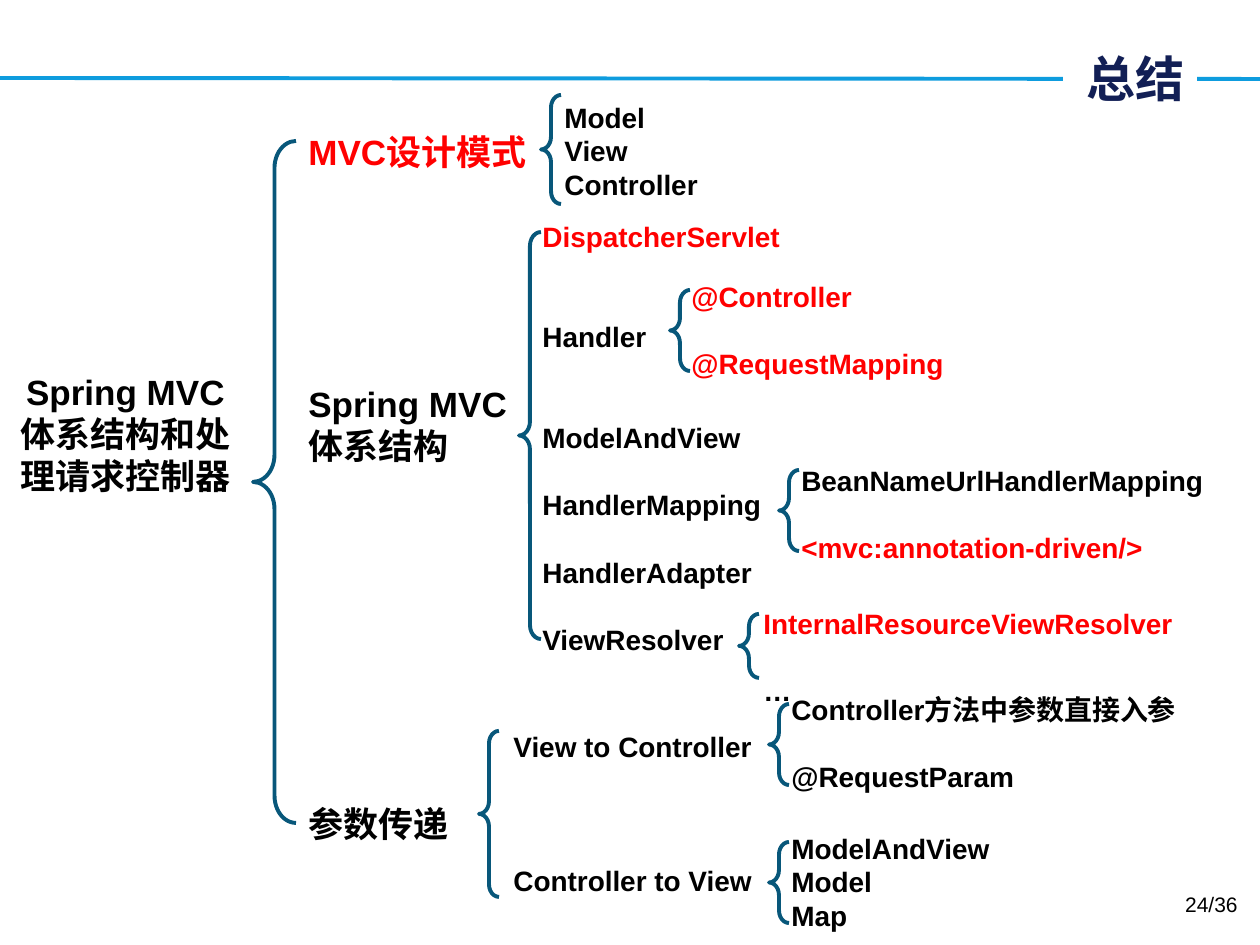
from lxml.etree import SubElement
from pptx import Presentation
from pptx.dml.color import RGBColor
from pptx.enum.shapes import MSO_CONNECTOR, MSO_SHAPE
from pptx.enum.text import MSO_ANCHOR, PP_ALIGN
from pptx.oxml.ns import qn
from pptx.util import Pt

PX = 914400 / 126
LATIN, CJK = "Arial", "Noto Sans CJK SC"
LEADING = 1.2

BLACK = RGBColor(0x00, 0x00, 0x00)
RED = RGBColor(0xFF, 0x00, 0x00)
WHITE = RGBColor(0xFF, 0xFF, 0xFF)
NAVY = RGBColor(0x12, 0x1F, 0x55)
RULE_BLUE = RGBColor(0x0E, 0x9C, 0xDE)
BRACE_BLUE = RGBColor(0x08, 0x57, 0x7A)


def emu(*lengths):
    return [round(length * PX) for length in lengths]


def write(para, text, size=16, color=BLACK, bold=True, font=LATIN,
          align=PP_ALIGN.LEFT, lines_before=0):
    """Fill one paragraph; lines_before is a gap counted in text lines."""
    para.alignment = align
    para.line_spacing = Pt(size * LEADING)
    para.space_before = Pt(size * LEADING * lines_before)
    span = para.add_run()
    span.text = text
    span.font.size = Pt(size)
    span.font.bold = bold
    span.font.color.rgb = color
    span.font.name = font
    SubElement(span.font._element, qn("a:ea"), typeface=CJK)


class SlideWriter:
    def __init__(self, slide):
        self.slide = slide

    def rule(self, x1, y1, x2, y2):
        line = self.slide.shapes.add_connector(
            MSO_CONNECTOR.STRAIGHT, *emu(x1, y1, x2, y2))
        line.line.color.rgb = RULE_BLUE
        line.line.width = Pt(2.25)
        SubElement(line._element.spPr, qn("a:effectLst"))

    def brace(self, left, top, width, height):
        shape = self.slide.shapes.add_shape(
            MSO_SHAPE.LEFT_BRACE, *emu(left, top, width, height))
        shape.adjustments[0] = 0.63
        shape.shadow.inherit = False
        shape.fill.background()
        shape.line.color.rgb = BRACE_BLUE
        shape.line.width = Pt(2.25)

    def text(self, left, top, width, height, rows, fill=None,
             anchor=MSO_ANCHOR.TOP, **style):
        """Each row is (text, colour, blank lines before it)."""
        box = self.slide.shapes.add_textbox(*emu(left, top, width, height))
        if fill is not None:
            box.fill.solid()
            box.fill.fore_color.rgb = fill
        frame = box.text_frame
        frame.word_wrap = True
        frame.vertical_anchor = anchor
        for index, (text, color, gap) in enumerate(rows):
            para = frame.add_paragraph() if index else frame.paragraphs[0]
            write(para, text, color=color, lines_before=gap, **style)


def main():
    deck = Presentation()
    deck.slide_width, deck.slide_height = emu(1260, 945)
    page = SlideWriter(deck.slides.add_slide(deck.slide_layouts[6]))

    # Header
    page.rule(0, 78, 1260, 79)
    page.text(1063, 38, 134, 80, [("总结", NAVY, 0)], fill=WHITE, size=28,
              font=CJK, align=PP_ALIGN.RIGHT, anchor=MSO_ANCHOR.MIDDLE)

    # Root topic and its three branches
    page.text(0, 364, 251, 139, [("Spring MVC体系结构和处理请求控制器", BLACK, 0)],
              size=20, align=PP_ALIGN.CENTER)
    page.brace(253, 141, 43, 682)
    page.text(296, 124, 493, 727, [
        ("MVC设计模式", RED, 0),
        ("Spring MVC", BLACK, 5),
        ("体系结构", BLACK, 0),
        ("参数传递", BLACK, 8),
    ], size=20)

    # Design pattern
    page.brace(541, 95, 20, 109)
    page.text(552, 94, 396, 147, [
        ("Model", BLACK, 0), ("View", BLACK, 0), ("Controller", BLACK, 0)])

    # Architecture
    page.brace(519, 232, 22, 407)
    page.text(530, 213, 396, 517, [
        ("DispatcherServlet", RED, 0),
        ("Handler", BLACK, 2),
        ("ModelAndView", BLACK, 2),
        ("HandlerMapping", BLACK, 1),
        ("HandlerAdapter", BLACK, 1),
        ("ViewResolver", BLACK, 1),
    ])
    page.brace(670, 290, 20, 81)
    page.text(679, 273, 466, 147, [
        ("@Controller", RED, 0), ("@RequestMapping", RED, 1)])
    page.brace(779, 470, 20, 81)
    page.text(789, 457, 466, 181, [
        ("BeanNameUrlHandlerMapping", BLACK, 0),
        ("<mvc:annotation-driven/>", RED, 1)])
    page.brace(739, 614, 20, 64)
    page.text(751, 600, 466, 113, [
        ("InternalResourceViewResolver", RED, 0), ("…", BLACK, 1)])

    # Parameter passing
    page.brace(479, 731, 20, 166)
    page.text(501, 723, 396, 214, [
        ("View to Controller", BLACK, 0), ("Controller to View", BLACK, 3)])
    page.brace(769, 704, 20, 81)
    page.text(779, 686, 466, 113, [
        ("Controller方法中参数直接入参", BLACK, 0), ("@RequestParam", BLACK, 1)])
    page.brace(769, 842, 20, 81)
    page.text(779, 825, 466, 113, [
        ("ModelAndView", BLACK, 0), ("Model", BLACK, 0), ("Map", BLACK, 0)])

    # Page number
    page.text(956, 885, 294, 50, [("24/36", BLACK, 0)], size=12, bold=False,
              align=PP_ALIGN.RIGHT)

    deck.save("out.pptx")


if __name__ == "__main__":
    main()
